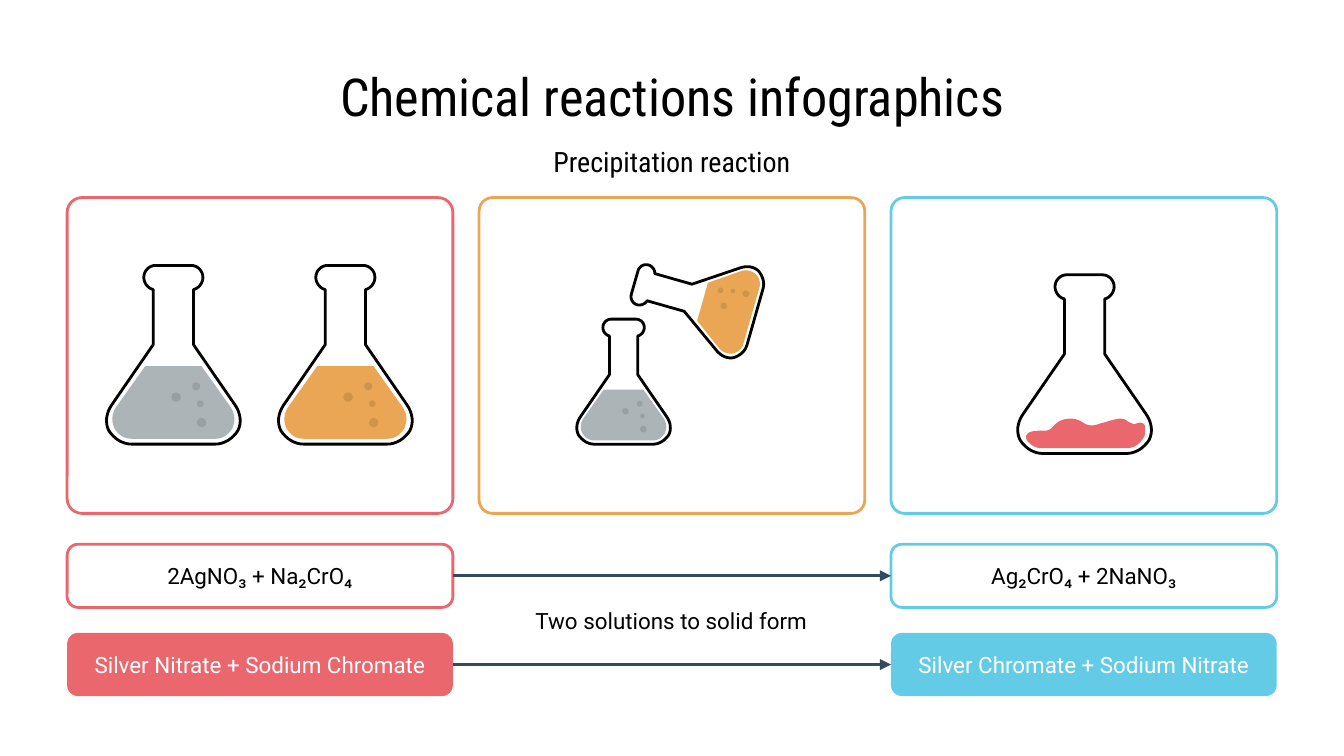
import math

import pptx
import pptx.dml.color
import pptx.enum.shapes
import pptx.enum.text
import pptx.oxml
import pptx.oxml.ns
import pptx.util
from pptx.util import Inches

THEME = {
    "red": "EA686D", "orange": "EAA654", "blue": "63CBE5", "gray": "ACB4B7",
    "arrow": "334A5F", "black": "000000", "white": "FFFFFF",
    "heading_font": "Roboto Condensed", "body_font": "Roboto",
    "title_size": 28, "subtitle_size": 15, "body_size": 12,
    "line_width": 1.5, "bubble_alpha": 11,
}

TITLE = "Chemical reactions infographics"
SUBTITLE = "Precipitation reaction"
ARROW_CAPTION = "Two solutions to solid form"
PANELS = [("red", 0.047), ("orange", 0.043), ("blue", 0.043)]  # colour, corner
LABELS = [  # column, colour, formula, name
    (0, "red", "2AgNO₃ + Na₂CrO₄", "Silver Nitrate + Sodium Chromate"),
    (2, "blue", "Ag₂CrO₄ + 2NaNO₃", "Silver Chromate + Sodium Nitrate"),
]
FLASKS = [  # centre x, centre y, scale, rotation, contents
    (1.29, 2.64, 1, 0, "gray"),
    (2.57, 2.64, 1, 0, "orange"),
    (4.64, 2.84, 0.7, 0, "gray"),
    (5.17, 2.23, 0.7, -74.1, "orange"),
    (8.07, 2.71, 1, 0, "sediment"),
]

SLIDE_WIDTH = Inches(10)
SLIDE_HEIGHT = SLIDE_WIDTH * 9 // 16
COLUMN_LEFT, COLUMN_STEP, COLUMN_WIDTH = 0.5, 3.065, 2.87
PANEL_TOP, PANEL_HEIGHT = 1.47, 2.35
LABEL_TOPS, LABEL_HEIGHT, LABEL_CORNER = (4.05, 4.71), 0.47, 0.174

# Flask outlines in inches: a pair of numbers is a line, six are a curve.
FLASK_WIDTH, FLASK_HEIGHT = 1.02, 1.33
GLASS_LEFT_HALF = [
    (0.38, 0), (0.33, 0, 0.29, 0.04, 0.29, 0.09),
    (0.29, 0.13, 0.32, 0.17, 0.36, 0.18), (0.36, 0.59), (0.05, 1.04),
    (0.01, 1.1, 0, 1.17, 0.03, 1.23), (0.07, 1.29, 0.13, 1.33, 0.2, 1.33),
]
LIQUID_LEFT_HALF = [
    (0.3, 0.75), (0.08, 1.06),
    (0.05, 1.11, 0.05, 1.16, 0.07, 1.21), (0.1, 1.26, 0.14, 1.29, 0.2, 1.29),
]
SEDIMENT = [
    (0.41, 1.07), (0.37, 1.07, 0.34, 1.08, 0.32, 1.09),
    (0.27, 1.12, 0.27, 1.16, 0.21, 1.16), (0.17, 1.16),
    (0.09, 1.16, 0.06, 1.19, 0.08, 1.23), (0.11, 1.27, 0.15, 1.29, 0.19, 1.29),
    (0.82, 1.29), (0.88, 1.29, 0.92, 1.26, 0.95, 1.21),
    (0.96, 1.2, 0.96, 1.18, 0.96, 1.13), (0.96, 1.11, 0.94, 1.1, 0.92, 1.1),
    (0.91, 1.1, 0.89, 1.11, 0.88, 1.11), (0.87, 1.11, 0.85, 1.1, 0.83, 1.09),
    (0.82, 1.08, 0.8, 1.07, 0.78, 1.07), (0.74, 1.07, 0.69, 1.09, 0.65, 1.1),
    (0.61, 1.11, 0.59, 1.12, 0.57, 1.12), (0.55, 1.12, 0.53, 1.12, 0.5, 1.1),
    (0.47, 1.08, 0.44, 1.07, 0.41, 1.07),
]
BUBBLES = [(0.53, 0.98, 0.07), (0.72, 1.17, 0.07), (0.68, 0.9, 0.06), (0.71, 1.03, 0.05)]


def color(name):
    return pptx.dml.color.RGBColor.from_string(THEME[name])


def write(shape, text, size="body_size", font="body_font", ink="black"):
    """Put one centred line of text in a shape."""
    frame = shape.text_frame
    frame.text = text
    frame_format = {
        "word_wrap": True,
        "auto_size": pptx.enum.text.MSO_AUTO_SIZE.NONE,
        "vertical_anchor": pptx.enum.text.MSO_ANCHOR.MIDDLE,
    }
    for side in ("left", "top", "right", "bottom"):
        frame_format[f"margin_{side}"] = Inches(0.1)
    for name, value in frame_format.items():
        setattr(frame, name, value)
    paragraph = frame.paragraphs[0]
    paragraph.alignment = pptx.enum.text.PP_ALIGN.CENTER
    run_font = paragraph.runs[0].font
    run_font.name = THEME[font]
    run_font.size = pptx.util.Pt(THEME[size])
    run_font.color.rgb = color(ink)


def paint(shape, fill=None, line=None):
    shape.shadow.inherit = False
    if fill:
        shape.fill.solid()
        shape.fill.fore_color.rgb = color(fill)
    else:
        shape.fill.background()
    if line:
        shape.line.color.rgb = color(line)
        shape.line.width = pptx.util.Pt(THEME["line_width"])
    else:
        shape.line.fill.background()


def add_box(slide, column, top, height, corner, fill=None, line=None):
    box = slide.shapes.add_shape(
        pptx.enum.shapes.MSO_SHAPE.ROUNDED_RECTANGLE,
        Inches(COLUMN_LEFT + column * COLUMN_STEP), Inches(top),
        Inches(COLUMN_WIDTH), Inches(height))
    box.adjustments[0] = corner
    paint(box, fill, line)
    return box


def add_arrow(slide, source, target):
    arrow = slide.shapes.add_connector(pptx.enum.shapes.MSO_CONNECTOR.STRAIGHT, 0, 0, 0, 0)
    arrow.begin_connect(source, 3)
    arrow.end_connect(target, 1)
    arrow.line.color.rgb = color("arrow")
    arrow.line.width = pptx.util.Pt(THEME["line_width"])
    namespace = pptx.oxml.ns.nsdecls("a")
    arrow.line._get_or_add_ln().append(
        pptx.oxml.parse_xml(f'<a:tailEnd {namespace} type="triangle"/>'))
    arrow._element.spPr.append(pptx.oxml.parse_xml(f"<a:effectLst {namespace}/>"))


def trace(segments, steps=8):
    """Turn lines and cubic curves into a list of points."""
    points = [segments[0]]
    for segment in segments[1:]:
        if len(segment) == 2:
            points.append(segment)
            continue
        controls = [points[-1], segment[:2], segment[2:4], segment[4:]]
        for step in range(1, steps + 1):
            t = step / steps
            weights = [math.comb(3, i) * t ** i * (1 - t) ** (3 - i) for i in range(4)]
            points.append(tuple(
                sum(w * control[axis] for w, control in zip(weights, controls))
                for axis in (0, 1)))
    return points


def mirror(points):
    return points + [(FLASK_WIDTH - x, y) for x, y in reversed(points)]


def add_flask(slide, center_x, center_y, scale, rotation, contents):
    group = slide.shapes.add_group_shape()
    cosine, sine = math.cos(math.radians(rotation)), math.sin(math.radians(rotation))

    def place(point):
        x = (point[0] - FLASK_WIDTH / 2) * scale
        y = (point[1] - FLASK_HEIGHT / 2) * scale
        return (Inches(center_x + x * cosine - y * sine),
                Inches(center_y + x * sine + y * cosine))

    def add_outline(points, fill, line=None):
        corners = [place(point) for point in points]
        builder = group.shapes.build_freeform(*corners[0])
        builder.add_line_segments(corners[1:], close=True)
        paint(builder.convert_to_shape(), fill, line)

    add_outline(mirror(trace(GLASS_LEFT_HALF)), "white", "black")
    if contents == "sediment":
        add_outline(trace(SEDIMENT), "red")
        return
    add_outline(mirror(trace(LIQUID_LEFT_HALF)), contents)
    for x, y, diameter in BUBBLES:
        bubble_x, bubble_y = place((x, y))
        size = Inches(diameter * scale)
        bubble = group.shapes.add_shape(
            pptx.enum.shapes.MSO_SHAPE.OVAL,
            bubble_x - size // 2, bubble_y - size // 2, size, size)
        paint(bubble, "black")
        tint = bubble._element.spPr.find(".//" + pptx.oxml.ns.qn("a:srgbClr"))
        alpha = tint.makeelement(pptx.oxml.ns.qn("a:alpha"),
                                 {"val": str(THEME["bubble_alpha"] * 1000)})
        tint.append(alpha)


def main():
    presentation = pptx.Presentation()
    presentation.slide_width, presentation.slide_height = SLIDE_WIDTH, SLIDE_HEIGHT
    slide = presentation.slides.add_slide(presentation.slide_layouts[5])

    title = slide.shapes.title
    bounds = {"left": 0.34, "top": 0.45, "width": 9.32, "height": 0.53}
    for name, value in bounds.items():
        setattr(title, name, Inches(value))
    write(title, TITLE, "title_size", "heading_font")
    subtitle = slide.shapes.add_textbox(Inches(0.5), Inches(1), Inches(9), Inches(0.4))
    write(subtitle, SUBTITLE, "subtitle_size", "heading_font")

    for column, (line, corner) in enumerate(PANELS):
        add_box(slide, column, PANEL_TOP, PANEL_HEIGHT, corner, line=line)

    label_columns = []
    for column, accent, formula, name in LABELS:
        styles = [(formula, "black", {"line": accent}), (name, "white", {"fill": accent})]
        boxes = []
        for top, (text, ink, style) in zip(LABEL_TOPS, styles):
            box = add_box(slide, column, top, LABEL_HEIGHT, LABEL_CORNER, **style)
            write(box, text, ink=ink)
            boxes.append(box)
        label_columns.append(boxes)
    for source, target in zip(*label_columns):
        add_arrow(slide, source, target)

    for flask in FLASKS:
        add_flask(slide, *flask)
    caption = slide.shapes.add_textbox(Inches(3.58), Inches(4.44), Inches(2.83), Inches(0.35))
    write(caption, ARROW_CAPTION)
    presentation.save("out.pptx")


if __name__ == "__main__":
    main()
